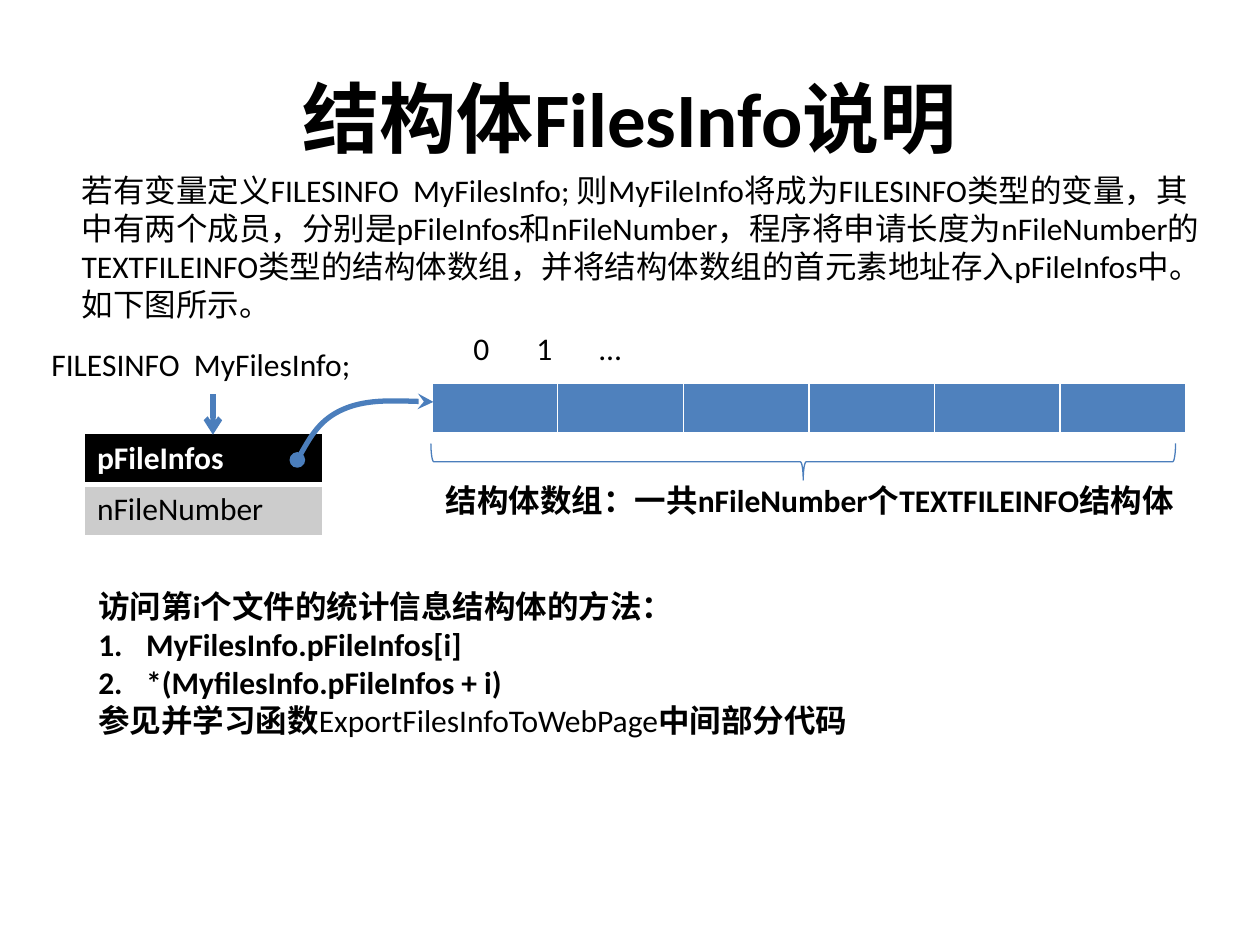
from pptx import Presentation
from pptx import util as u
from pptx.dml.color import RGBColor
from pptx.enum import shapes, text
from pptx.oxml.ns import qn
from lxml import etree

BLACK = RGBColor(0x00, 0x00, 0x00)
WHITE = RGBColor(0xFF, 0xFF, 0xFF)
GREY = RGBColor(0xCC, 0xCC, 0xCC)
BLUE = RGBColor(0x4F, 0x81, 0xBD)
LINE_BLUE = RGBColor(0x4B, 0x7E, 0xBC)


def write(para, words, size=18, bold=False, color=BLACK):
    span = para.add_run()
    span.text = words
    values = {"name": "Calibri", "size": u.Pt(size), "bold": bold}
    for name, value in values.items():
        setattr(span.font, name, value)
    span.font.color.rgb = color


def style_cell(cell, fill, bottom):
    cell.fill.solid()
    cell.fill.fore_color.rgb = fill
    properties = cell._tc.get_or_add_tcPr()
    widths = {"a:lnL": 1, "a:lnR": 1, "a:lnT": 1, "a:lnB": bottom}
    for index, (tag, width) in enumerate(widths.items()):
        border = etree.Element(qn(tag), w=str(u.Pt(width)))
        paint = etree.SubElement(border, qn("a:solidFill"))
        etree.SubElement(paint, qn("a:srgbClr"), val=str(WHITE))
        properties.insert(index, border)


deck = Presentation()
deck.slide_width, deck.slide_height = u.Inches(10), u.Inches(7.5)
page = deck.slides.add_slide(deck.slide_layouts[1])
title, body = page.placeholders

frames = [(title, (0.5, 0.3, 9, 1.25)), (body, (0.68, 4.61, 6.23, 1.31))]
for holder, frame in frames:
    for name, value in zip(("left", "top", "width", "height"), frame):
        setattr(holder, name, u.Inches(value))
    holder.text_frame.auto_size = text.MSO_AUTO_SIZE.NONE

title.text_frame.vertical_anchor = text.MSO_ANCHOR.MIDDLE
title.text_frame.paragraphs[0].alignment = text.PP_ALIGN.CENTER
write(title.text_frame.paragraphs[0], "结构体FilesInfo说明", 44, True)

members = page.shapes.add_table(
    2, 1, u.Inches(0.67), u.Inches(3.44), u.Inches(1.89), u.Inches(0.81)).table
member_rows = [("pFileInfos", BLACK, WHITE, True, 3),
               ("nFileNumber", GREY, BLACK, False, 1)]
for row, (words, fill, color, bold, bottom) in enumerate(member_rows):
    cell = members.cell(row, 0)
    style_cell(cell, fill, bottom)
    write(cell.text_frame.paragraphs[0], words, bold=bold, color=color)

array = page.shapes.add_table(
    1, 6, u.Inches(3.43), u.Inches(3.04), u.Inches(5.98), u.Inches(0.41)).table
for cell in array.iter_cells():
    style_cell(cell, BLUE, 3)

curve_points = [(2.36, 3.65), (2.45, 3.49), (2.54, 3.33), (2.72, 3.25),
                (2.9, 3.17), (3.17, 3.18), (3.44, 3.19)]
points = [(u.Inches(x), u.Inches(y)) for x, y in curve_points]
builder = page.shapes.build_freeform(*points[0])
builder.add_line_segments(points[1:], close=False)
pointer = builder.convert_to_shape()
segments = list(pointer._element.iter(qn("a:lnTo")))
for start in range(0, len(segments), 3):
    bezier = etree.Element(qn("a:cubicBezTo"))
    segments[start].addprevious(bezier)
    for segment in segments[start:start + 3]:
        bezier.append(segment[0])
        segment.getparent().remove(segment)

brace = page.shapes.add_shape(
    shapes.MSO_SHAPE.LEFT_BRACE,
    u.Inches(6.23), u.Inches(0.71), u.Inches(0.29), u.Inches(5.91))
brace.rotation = 270
brace.adjustments[0], brace.adjustments[1] = 0.08, 0.5

arrow = page.shapes.add_connector(
    shapes.MSO_CONNECTOR.STRAIGHT,
    u.Inches(1.69), u.Inches(3.13), u.Inches(1.69), u.Inches(3.45))
etree.SubElement(arrow._element.spPr, qn("a:effectLst"))

for outline in (pointer, brace):
    outline.shadow.inherit = False
    outline.fill.background()
strokes = [(pointer, 3, {"headEnd": "oval", "tailEnd": "stealth"}),
           (brace, 0.75, {}),
           (arrow, 3, {"tailEnd": "arrow"})]
for shape, width, ends in strokes:
    shape.line.color.rgb = LINE_BLUE
    shape.line.width = u.Pt(width)
    for tag, kind in ends.items():
        etree.SubElement(shape.line._get_or_add_ln(), qn("a:" + tag), type=kind)

labels = [
    ((3.44, 3.77, 6.11, 0.4), True, True,
     "结构体数组：一共nFileNumber个TEXTFILEINFO结构体"),
    ((3.66, 2.56, 3.23, 0.4), False, True, "0\t1\t…\t"),
    ((0.31, 2.69, 2.6, 0.4), False, False, "FILESINFO  MyFilesInfo;"),
    ((0.55, 1.31, 9.17, 1.31), False, True,
     "若有变量定义FILESINFO  MyFilesInfo; 则MyFileInfo将成为FILESINFO类型的变量，"
     "其中有两个成员，分别是pFileInfos和nFileNumber，程序将申请长度为"
     "nFileNumber的TEXTFILEINFO类型的结构体数组，并将结构体数组的首元素地址存"
     "入pFileInfos中。如下图所示。"),
]
for frame, bold, wrap, words in labels:
    box = page.shapes.add_textbox(*map(u.Inches, frame))
    box.text_frame.word_wrap = wrap
    write(box.text_frame.paragraphs[0], words, bold=bold)

methods = [
    (0, False, [("访问第i个文件的统计信息结构体的方法：", True)]),
    (0.38, True, [("MyFilesInfo.pFileInfos[i]", True)]),
    (0.38, True, [("*(MyfilesInfo.pFileInfos + i)", True)]),
    (0.38, False, [("参见并学习函数", True), ("ExportFilesInfoToWebPage", False),
                   ("中间部分代码", True)]),
]
for index, (indent, numbered, spans) in enumerate(methods):
    frame = body.text_frame
    para = frame.add_paragraph() if index else frame.paragraphs[0]
    para.space_before = u.Pt(0)
    properties = para._p.get_or_add_pPr()
    properties.set("marL", str(u.Inches(indent)))
    properties.set("indent", str(-u.Inches(indent)))
    if numbered:
        etree.SubElement(properties, qn("a:buFont"), typeface="+mj-lt")
        etree.SubElement(properties, qn("a:buAutoNum"), type="arabicPeriod")
    else:
        etree.SubElement(properties, qn("a:buNone"))
    for words, bold in spans:
        write(para, words, bold=bold)

deck.save("out.pptx")
